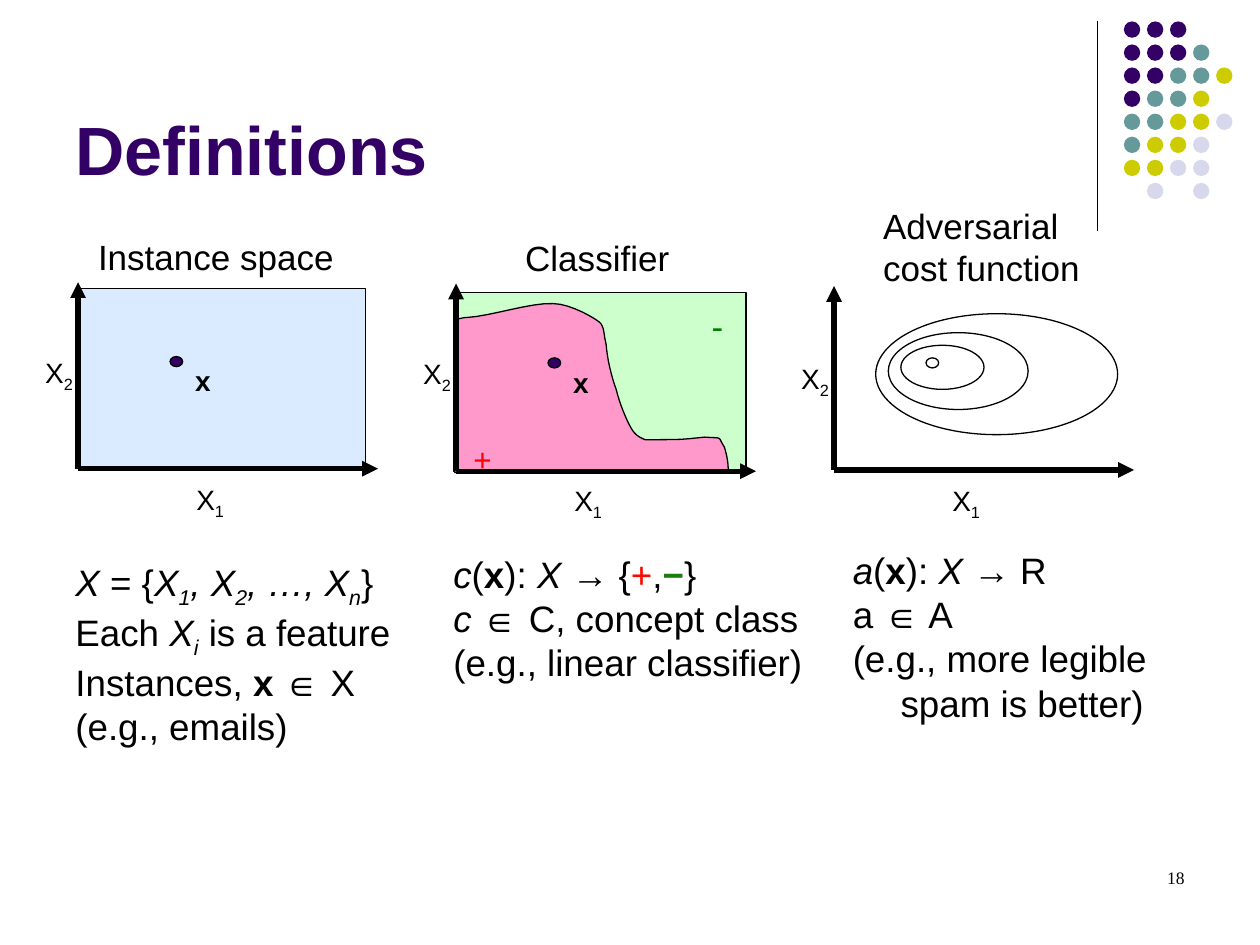
from pptx import Presentation
from pptx.dml.color import RGBColor
from pptx.enum.shapes import MSO_CONNECTOR, MSO_SHAPE
from pptx.enum.text import MSO_ANCHOR, MSO_AUTO_SIZE, PP_ALIGN
from pptx.oxml.ns import qn
from pptx.util import Inches, Pt
from lxml import etree

STRAIGHT = MSO_CONNECTOR.STRAIGHT
RECT, OVAL = MSO_SHAPE.RECTANGLE, MSO_SHAPE.OVAL
BOTTOM, RIGHT = MSO_ANCHOR.BOTTOM, PP_ALIGN.RIGHT
FIT_TEXT = MSO_AUTO_SIZE.SHAPE_TO_FIT_TEXT
COLORS = {
    "black": "000000", "purple": "330066", "teal": "669999",
    "olive": "CCCC00", "lilac": "D8D8EC", "sky": "DAEBFF",
    "mint": "CCFFCC", "pink": "FF99CC", "red": "FF0000",
    "green": "008000", "plus": "FD0700", "minus": "1A7D0E",
}


def color(name):
    return RGBColor.from_string(COLORS[name])


def curve_points(start, segments, steps=8):
    """Points along a chain of cubic curves, each (control, control, end)."""
    points = [start]
    for c1, c2, end in segments:
        first = points[-1]
        for k in range(1, steps + 1):
            t = k / steps
            u = 1 - t
            points.append(tuple(
                u**3 * a + 3 * u * u * t * b + 3 * u * t * t * c + t**3 * d
                for a, b, c, d in zip(first, c1, c2, end)))
    return points


class SlideBuilder:
    font = "Arial"
    outline = 0.75

    def __init__(self, slide):
        self.shapes = slide.shapes

    def paint(self, shape, fill, line):
        shape.shadow.inherit = False
        if fill:
            shape.fill.solid()
            shape.fill.fore_color.rgb = color(fill)
        else:
            shape.fill.background()
        if line:
            shape.line.color.rgb = color(line)
            shape.line.width = Pt(self.outline)
        else:
            shape.line.fill.background()

    def shape(self, kind, box, fill=None, line="black"):
        self.paint(self.shapes.add_shape(kind, *map(Inches, box)), fill, line)

    def region(self, points, fill):
        start, *rest = [(Inches(x), Inches(y)) for x, y in points]
        builder = self.shapes.build_freeform(*start)
        builder.add_line_segments(rest, close=True)
        self.paint(builder.convert_to_shape(), fill, "black")

    def line(self, start, end, width, arrow=False):
        line = self.shapes.add_connector(STRAIGHT, *map(Inches, start + end))
        line.line.color.rgb = color("black")
        line.line.width = Pt(width)
        if arrow:
            etree.SubElement(line.line._get_or_add_ln(), qn("a:tailEnd"), type="triangle")
        etree.SubElement(line._element.spPr, qn("a:effectLst"))

    def text(self, box, paragraphs, size, wrap=False, indent=0,
             anchor=None, align=None, font=None):
        """Each paragraph is a list of (text, style words)."""
        frame = self.shapes.add_textbox(*map(Inches, box)).text_frame
        frame.word_wrap = wrap
        if not wrap:
            frame.auto_size = FIT_TEXT
        if anchor is not None:
            frame.vertical_anchor = anchor
        for number, runs in enumerate(paragraphs):
            paragraph = frame.add_paragraph() if number else frame.paragraphs[0]
            if align is not None:
                paragraph.alignment = align
            if indent:
                properties = paragraph._p.get_or_add_pPr()
                properties.set("marL", str(Inches(indent)))
                properties.set("indent", str(-Inches(indent)))
            for words, style in runs:
                self.run(paragraph, words, style.split(), size, font)

    def run(self, paragraph, words, style, size, font):
        run = paragraph.add_run()
        run.text = words
        run.font.name = font or self.font
        run.font.size = Pt(size)
        run.font.bold = "bold" in style
        run.font.italic = "italic" in style
        tint = next((word for word in style if word in COLORS), "black")
        run.font.color.rgb = color(tint)
        if "sub" in style:
            run.font._element.set("baseline", "-25000")

    def label(self, box, words, size, style=""):
        self.text(box, [[(words, style)]], size)

    def axes(self, left, top, base, x1_top, x2_top):
        origin = (left + 0.62, base)
        self.line(origin, (left + 0.62, top), 3, arrow=True)
        self.line(origin, (left + 3, base), 3, arrow=True)
        for digit, x, y in (("1", 1.46, x1_top), ("2", 0.26, x2_top)):
            self.text((left + x, y, 0.42, 0.41), [[("X", ""), (digit, "sub")]], 16)

    def instance(self, left, top):
        self.label((left + 1.45, top + 0.01, 0.32, 0.37), "x", 16, "bold")
        self.shape(OVAL, (left + 1.35, top, 0.1, 0.08), "purple")

    def definition(self, box, paragraphs):
        self.text(box, paragraphs, 21, wrap=True, indent=0.38)


def main():
    deck = Presentation()
    deck.slide_width, deck.slide_height = Inches(10), Inches(7.5)
    page = SlideBuilder(deck.slides.add_slide(deck.slide_layouts[6]))

    # Corner ornament: one letter per dot
    page.line((8.71, 0.17), (8.71, 1.83), 0.75)
    dot_colors = {"p": "purple", "t": "teal", "o": "olive", "l": "lilac"}
    dot_rows = ("ppp", "pppt", "pptto", "ptto", "ttool", "tool", "ooll", "-l-l")
    pitch = 0.183
    for row, letters in enumerate(dot_rows):
        for column, letter in enumerate(letters):
            if letter in dot_colors:
                page.shape(OVAL, (8.92 + column * pitch, 0.17 + row * pitch, 0.13, 0.13),
                           dot_colors[letter], None)

    # Title
    page.text((0.5, 0.13, 8.25, 1.42), [[("Definitions", "bold purple")]], 39,
              wrap=True, anchor=BOTTOM)

    # Instance space
    page.shape(RECT, (0.64, 2.29, 2.26, 1.42), "sky")
    page.axes(0, 2.24, 3.72, 3.78, 2.77)
    page.instance(0, 2.83)
    page.label((0.68, 1.82, 2.07, 0.44), "Instance space", 20)

    # Classifier with its positive region
    page.shape(RECT, (3.6, 2.32, 2.32, 1.42), "mint")
    boundary = [
        ((3.61, 3.35), (3.6, 2.95), (3.61, 2.54)),
        ((3.61, 2.54), (3.67, 2.52), (3.71, 2.52)),
        ((3.89, 2.51), (4.22, 2.4), (4.39, 2.41)),
        ((4.53, 2.41), (4.75, 2.54), (4.77, 2.57)),
        ((4.8, 2.62), (4.79, 2.65), (4.81, 2.73)),
        ((4.82, 2.85), (4.85, 2.98), (4.89, 3.09)),
        ((4.92, 3.21), (4.97, 3.33), (5.01, 3.4)),
        ((5.04, 3.45), (5.07, 3.47), (5.12, 3.49)),
        ((5.41, 3.49), (5.4, 3.49), (5.59, 3.47)),
        ((5.75, 3.48), (5.69, 3.46), (5.75, 3.55)),
        ((5.77, 3.62), (5.78, 3.67), (5.78, 3.74)),
    ]
    page.region(curve_points((3.61, 3.75), boundary), "pink")
    page.axes(3, 2.25, 3.74, 3.79, 2.78)
    page.instance(3, 2.84)
    page.label((3.66, 3.44, 0.34, 0.4), "+", 18, "red")
    page.label((5.55, 2.37, 0.29, 0.44), "-", 20, "green")
    page.text((4.07, 1.83, 1.5, 0.44), [[("Classifier", "")]], 20, wrap=True)

    # Adversarial cost contours
    page.axes(6, 2.27, 3.73, 3.79, 2.82)
    for contour in ((7.35, 2.84, 0.1, 0.08), (7.15, 2.74, 0.66, 0.35),
                    (7.05, 2.64, 1.11, 0.61), (6.95, 2.49, 1.92, 0.96)):
        page.shape(OVAL, contour)
    page.text((6.91, 1.57, 2.09, 0.77), [[("Adversarial cost function", "")]], 20, wrap=True)

    # Definitions under each panel
    page.definition((0.5, 4.39, 2.75, 2.2), [
        [("X", "italic"), (" = {", ""), ("X", "italic"), ("1", "italic sub"),
         (", X", "italic"), ("2", "italic sub"), (", …, X", "italic"),
         ("n", "italic sub"), ("}", "")],
        [("Each ", ""), ("X", "italic"), ("i", "italic sub"), (" is a feature", "")],
        [("Instances, ", ""), ("x ", "bold"), ("∈ X", "")],
        [("(e.g., emails)", "")],
    ])
    page.definition((3.5, 4.33, 3, 2.2), [
        [("c", "italic"), ("(", ""), ("x", "bold"), ("): ", ""), ("X ", "italic"),
         ("→ {", ""), ("+", "plus"), (",", ""), ("−", "bold minus"), ("}", "")],
        [("c ", "italic"), ("∈ C, concept class", "")],
        [("(e.g., linear classifier)", "")],
    ])
    page.definition((6.67, 4.3, 3, 2.2), [
        [("a", "italic"), ("(", ""), ("x", "bold"), ("): ", ""), ("X ", "italic"),
         ("→ R", "")],
        [("a ∈ A", "")],
        [("(e.g., more legible spam is better)", "")],
    ])

    # Slide number
    page.text((7.17, 6.83, 2.33, 0.5), [[("18", "")]], 10, wrap=True,
              align=RIGHT, font="Times New Roman")

    deck.save("out.pptx")


if __name__ == "__main__":
    main()
